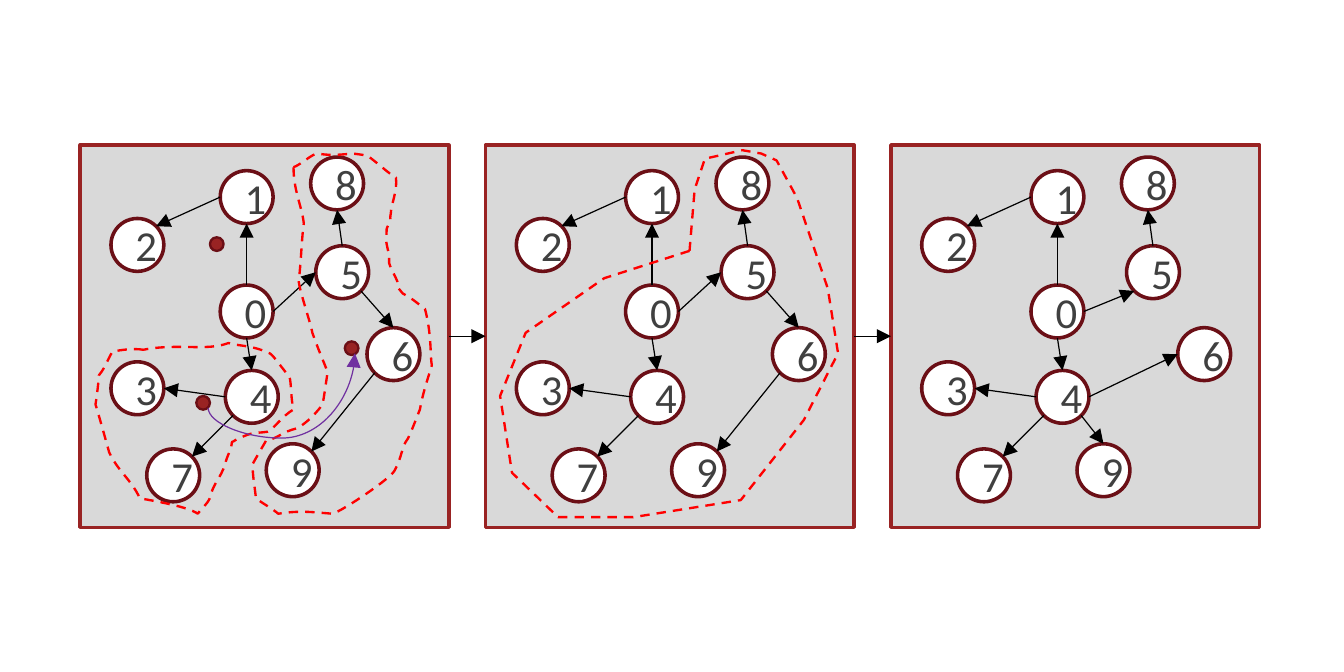
from math import cos, radians, sin

from lxml import etree
from pptx import Presentation
from pptx.dml.color import RGBColor
from pptx.enum.dml import MSO_LINE
from pptx.enum.shapes import MSO_CONNECTOR, MSO_SHAPE
from pptx.enum.text import MSO_ANCHOR, PP_ALIGN
from pptx.oxml.ns import qn
from pptx.util import Inches, Pt

RECT, OVAL, DOT = MSO_SHAPE.RECTANGLE, MSO_SHAPE.OVAL, MSO_SHAPE.FLOWCHART_CONNECTOR
STRAIGHT, CURVE = MSO_CONNECTOR.STRAIGHT, MSO_CONNECTOR.CURVE
DASH, MIDDLE, CENTER = MSO_LINE.DASH, MSO_ANCHOR.MIDDLE, PP_ALIGN.CENTER

# The slide is 20 by 10 centimetres
CM_PER_INCH = 2.54
SLIDE_W, SLIDE_H = 20 / CM_PER_INCH, 10 / CM_PER_INCH
PANEL_LEFT, PANEL_TOP, PANEL_W, PANEL_H = 0.47, 0.85, 2.16, 2.24
PANEL_STEP = 4.75 / 2
NODE_D, DOT_D = 0.31, 0.08

# Top-left corners of the nodes in the first panel
NODES = {
    0: (1.29, 1.67), 1: (1.29, 1), 2: (0.65, 1.28), 3: (0.65, 2.12), 4: (1.32, 2.17),
    5: (1.85, 1.44), 6: (2.15, 1.92), 7: (0.86, 2.63), 8: (1.82, 0.92), 9: (1.56, 2.6),
}
# Angle of each point on a node's rim, clockwise from the right
RIM = {"right": 0, "bottom right": 45, "bottom": 90, "bottom left": 135,
       "left": 180, "top": 270, "top right": 315}

SHARED_EDGES = [
    (0, "top", 1, "bottom"), (1, "left", 2, "top right"), (5, "top", 8, "bottom"),
    (0, "bottom", 4, "top"), (4, "left", 3, "right"), (4, "bottom left", 7, "top right"),
]
FIRST_EDGES = SHARED_EDGES + [
    (6, "bottom left", 9, "top right"), (0, "right", 5, "left"), (5, "bottom right", 6, "top"),
]
LAST_EDGES = SHARED_EDGES + [
    (4, "bottom right", 9, "top"), (0, "right", 5, "bottom left"), (4, "right", 6, "left"),
]

# Start point, then two control points and an end point for each curve
RIGHT_CLUSTER = [
    (1.72, 0.98),
    (1.72, 1.12), (1.77, 1.21), (1.78, 1.31), (1.77, 1.36), (1.76, 1.6), (1.75, 1.64),
    (1.75, 1.69), (1.82, 1.89), (1.83, 1.95), (1.87, 2.06), (1.88, 2.08), (1.92, 2.18),
    (1.91, 2.24), (1.9, 2.32), (1.89, 2.37), (1.86, 2.41), (1.81, 2.47), (1.74, 2.51),
    (1.65, 2.53), (1.63, 2.57), (1.56, 2.58), (1.52, 2.65), (1.49, 2.7), (1.48, 2.72),
    (1.48, 2.79), (1.49, 2.83), (1.5, 2.92), (1.54, 2.95), (1.61, 2.99), (1.63, 3.01),
    (1.76, 2.99), (1.82, 3), (1.95, 3.01), (2.01, 2.99), (2.28, 2.81), (2.31, 2.76),
    (2.36, 2.67), (2.35, 2.62), (2.39, 2.57), (2.41, 2.53), (2.44, 2.45), (2.46, 2.4),
    (2.48, 2.29), (2.51, 2.21), (2.53, 2.14), (2.52, 2.09), (2.53, 1.96), (2.49, 1.81),
    (2.46, 1.79), (2.42, 1.75), (2.36, 1.72), (2.32, 1.67), (2.33, 1.69), (2.33, 1.66),
    (2.33, 1.64), (2.29, 1.58), (2.28, 1.54), (2.28, 1.52), (2.28, 1.5), (2.28, 1.49),
    (2.27, 1.46), (2.26, 1.4), (2.26, 1.4), (2.27, 1.37), (2.26, 1.34), (2.27, 1.33),
    (2.3, 1.27), (2.28, 1.3), (2.29, 1.25), (2.29, 1.2), (2.33, 1.12), (2.32, 1.04),
    (2.28, 1.02), (2.22, 0.96), (2.15, 0.91), (2.13, 0.91), (2.09, 0.9), (2.06, 0.9),
    (1.96, 0.91), (1.93, 0.91), (1.86, 0.9), (1.83, 0.9), (1.77, 0.96), (1.72, 0.98),
]
LEFT_CLUSTER = [
    (0.84, 2.05),
    (0.78, 2.04), (0.72, 2.05), (0.66, 2.06), (0.63, 2.11), (0.62, 2.15), (0.58, 2.2),
    (0.58, 2.22), (0.57, 2.31), (0.56, 2.37), (0.57, 2.4), (0.61, 2.54), (0.64, 2.65),
    (0.69, 2.76), (0.77, 2.81), (0.82, 2.92), (0.93, 2.94), (1.1, 2.97), (1.16, 3.01),
    (1.19, 2.97), (1.21, 2.96), (1.23, 2.92), (1.25, 2.83), (1.29, 2.81), (1.32, 2.72),
    (1.33, 2.67), (1.36, 2.63), (1.36, 2.59), (1.37, 2.59), (1.4, 2.56), (1.42, 2.56),
    (1.49, 2.53), (1.5, 2.54), (1.57, 2.53), (1.6, 2.52), (1.65, 2.44), (1.72, 2.4),
    (1.7, 2.31), (1.71, 2.21), (1.69, 2.2), (1.64, 2.14), (1.6, 2.08), (1.58, 2.07),
    (1.47, 2.02), (1.4, 2.03), (1.34, 2.01), (1.21, 2.06), (1.04, 2.01), (0.84, 2.05),
]
# Corners of the outline in the middle panel
MERGED_CLUSTER = [
    (4.04, 1.47), (3.54, 1.63), (3.08, 1.95), (2.93, 2.32), (3, 2.77), (3.27, 3.03),
    (3.71, 3.03), (4.34, 2.93), (4.71, 2.46), (4.91, 2.07), (4.85, 1.69), (4.67, 1.16),
    (4.55, 0.94), (4.46, 0.9), (4.35, 0.88), (4.13, 0.93), (4.07, 1.11),
]


def color(value):
    return RGBColor.from_string(value)


def set_line(shape, value, width):
    shape.line.color.rgb = color(value)
    shape.line.width = Pt(width)


def add_box(slide, kind, x, y, w, h, fill, line, width):
    sp = slide.shapes.add_shape(kind, Inches(x), Inches(y), Inches(w), Inches(h))
    sp.shadow.inherit = False
    sp.fill.solid()
    sp.fill.fore_color.rgb = color(fill)
    set_line(sp, line, width)
    return sp


def add_node(slide, number, x, y):
    sp = add_box(slide, OVAL, x, y, NODE_D, NODE_D, "FFFFFF", "6B0F16", 1.5)
    tf = sp.text_frame
    tf.text = str(number)
    tf.vertical_anchor = MIDDLE
    p = tf.paragraphs[0]
    p.alignment = CENTER
    font = p.runs[0].font
    font.name, font.size = "Calibri", Pt(18)
    font.color.rgb = color("404040")


def add_arrow(slide, start, end, line="000000", kind=STRAIGHT):
    arrow = slide.shapes.add_connector(kind, *(Inches(v) for v in (*start, *end)))
    set_line(arrow, line, 0.5)
    sp_pr = arrow._element.spPr
    etree.SubElement(sp_pr.find(qn("a:ln")), qn("a:tailEnd"), type="triangle")
    etree.SubElement(sp_pr, qn("a:effectLst"))
    return arrow


def add_curved_arrow(slide, start, end, bend):
    """Curve turned by a quarter; start and end are given before the turn."""
    arrow = add_arrow(slide, start, end, "7030A0", CURVE)
    sp_pr = arrow._element.spPr
    sp_pr.find(qn("a:xfrm")).set("rot", "5400000")
    guides = sp_pr.find(qn("a:prstGeom")).find(qn("a:avLst"))
    etree.SubElement(guides, qn("a:gd"), name="adj1", fmla=f"val {bend}")


def add_outline(slide, points, curved=False):
    corners = [(Inches(x), Inches(y)) for x, y in points]
    builder = slide.shapes.build_freeform(*corners[0], scale=1.0)
    builder.add_line_segments(corners[1:], close=True)
    sp = builder.convert_to_shape()
    sp.shadow.inherit = False
    sp.fill.background()
    set_line(sp, "FF0000", 1)
    sp.line.dash_style = DASH
    if curved:
        # Each three straight segments become one Bezier curve
        segments = list(sp._element.iter(qn("a:lnTo")))
        for i in range(0, len(segments), 3):
            bezier = etree.Element(qn("a:cubicBezTo"))
            segments[i].addprevious(bezier)
            for segment in segments[i:i + 3]:
                bezier.append(segment[0])
                segment.getparent().remove(segment)


def rim_point(number, side, dx):
    x, y = NODES[number]
    r, angle = NODE_D / 2, radians(RIM[side])
    return x + dx + r + r * cos(angle), y + r + r * sin(angle)


def add_panel(slide, index, edges):
    dx = index * PANEL_STEP
    panel = add_box(slide, RECT, PANEL_LEFT + dx, PANEL_TOP, PANEL_W, PANEL_H,
                    "D9D9D9", "992323", 1.5)
    for number, (x, y) in NODES.items():
        add_node(slide, number, x + dx, y)
    for source, source_side, target, target_side in edges:
        add_arrow(slide, rim_point(source, source_side, dx), rim_point(target, target_side, dx))
    return panel


def main():
    prs = Presentation()
    prs.slide_width, prs.slide_height = Inches(SLIDE_W), Inches(SLIDE_H)
    slide = prs.slides.add_slide(prs.slide_layouts[6])

    # Three stages of the graph
    panels = [add_panel(slide, i, edges)
              for i, edges in enumerate((FIRST_EDGES, FIRST_EDGES, LAST_EDGES))]

    # Cluster outlines
    add_outline(slide, RIGHT_CLUSTER, curved=True)
    add_outline(slide, LEFT_CLUSTER, curved=True)
    add_outline(slide, MERGED_CLUSTER)

    # Arrows between stages
    for before, after in zip(panels, panels[1:]):
        arrow = add_arrow(slide, (0, 0), (1, 1))
        arrow.begin_connect(before, 3)
        arrow.end_connect(after, 1)

    # Cluster centres and the move between two of them
    for x, y in ((1.15, 2.32), (2.02, 2), (1.23, 1.39)):
        add_box(slide, DOT, x, y, DOT_D, DOT_D, "992323", "6B0F16", 1)
    add_curved_arrow(slide, (1.81, 2.66), (1.49, 1.8), -55300)

    prs.save("out.pptx")


if __name__ == "__main__":
    main()
